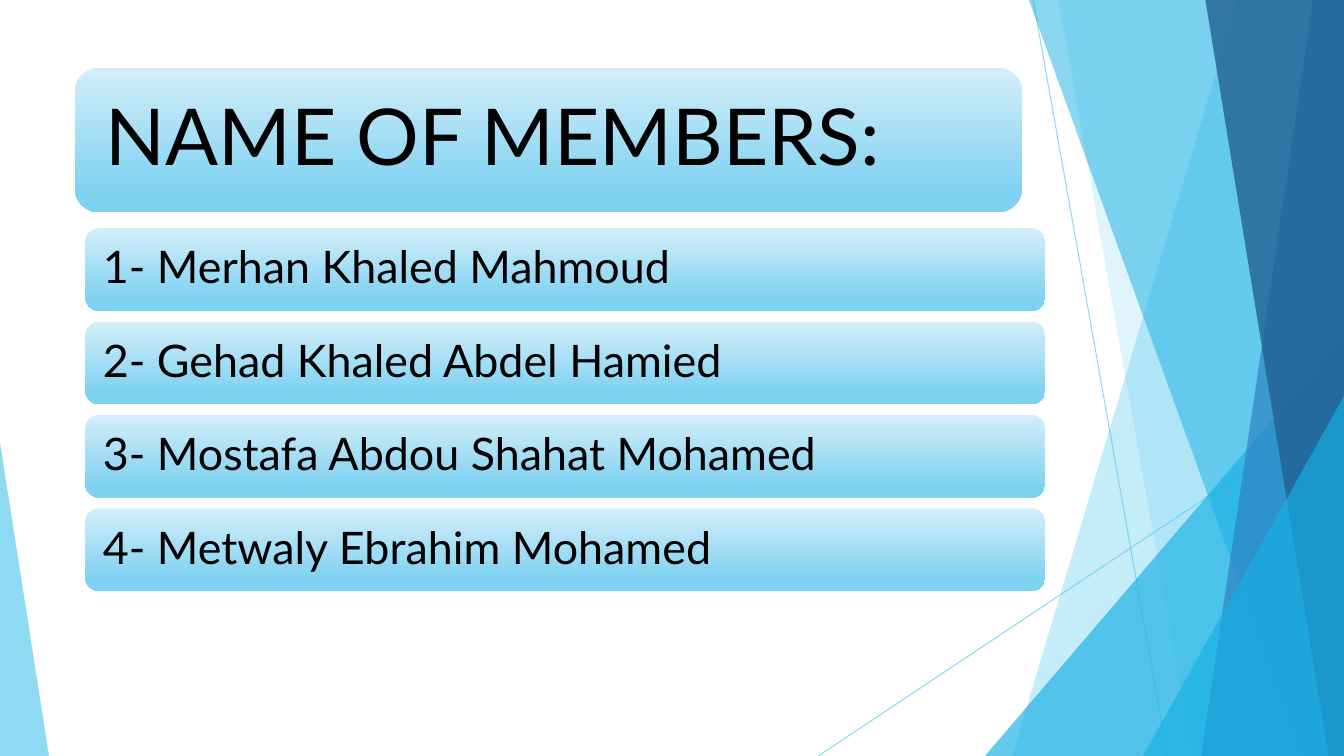
from lxml import etree
from pptx import Presentation
from pptx import util as u
from pptx.dml.color import RGBColor
from pptx.enum import shapes, text
from pptx.oxml.ns import qn

WIDTH, HEIGHT = 960, 540
SKY, CYAN, BLUE, NAVY = "5FCBEF", "17B0E4", "2E83C3", "226292"


def paint(fill, color, opacity):
    """Fill with a solid colour at an opacity in percent."""
    fill.solid()
    fill.fore_color.rgb = RGBColor.from_string(color)
    rgb = fill._xPr.find(".//" + qn("a:srgbClr"))
    etree.SubElement(rgb, qn("a:alpha"), val=str(opacity * 1000))


def add_panel(page, left, top, width, height, inset, size, wording):
    """Add a rounded gradient panel with one line of text."""
    panel = page.shapes.add_shape(shapes.MSO_SHAPE.ROUNDED_RECTANGLE,
                                  u.Pt(left), u.Pt(top), u.Pt(width), u.Pt(height))
    panel.shadow.inherit = False
    panel.line.fill.background()
    panel.fill.gradient()
    panel.fill.gradient_angle = 270
    stops = zip(panel.fill.gradient_stops, [(0, "D4EEF9"), (0.88, "7DD1F1")])
    for stop, (position, color) in stops:
        stop.position = position
        stop.color.rgb = RGBColor.from_string(color)
    frame = panel.text_frame
    frame.word_wrap = True
    frame.vertical_anchor = text.MSO_ANCHOR.MIDDLE
    frame.margin_left = frame.margin_right = u.Pt(inset)
    frame.margin_top = frame.margin_bottom = u.Pt(inset)
    para = frame.paragraphs[0]
    para.alignment = text.PP_ALIGN.LEFT
    para.line_spacing = 0.9
    span = para.add_run()
    span.text = wording
    span.font.name = "Lato"
    span.font.size = u.Pt(size)
    span.font.color.rgb = RGBColor.from_string("000000")


deck = Presentation()
deck.slide_width, deck.slide_height = u.Pt(WIDTH), u.Pt(HEIGHT)
page = deck.slides.add_slide(deck.slide_layouts[6])

# Thin crossing lines
for ends in [(738, 0, 834, HEIGHT), (WIDTH, 290, 584.5, HEIGHT)]:
    line = page.shapes.add_connector(shapes.MSO_CONNECTOR.STRAIGHT, *map(u.Pt, ends))
    line.line.width = u.Pt(0.75)
    paint(line.line.fill, SKY, 70)
    etree.SubElement(line._element.spPr, qn("a:effectLst"))

# Bands run to the right edge: (top x, bottom x)
# Triangles: (left, top, width, height, apex position)
facets = [
    ((884, 723), SKY, 36),
    ((756, 852), SKY, 20),
    ((703.5, 240, 256.5, 300, 1), CYAN, 66),
    ((735, 929.5), CYAN, 50),
    ((938, 858), BLUE, 70),
    ((861, 949), NAVY, 80),
    ((816.5, 283, 143.5, 257, 1), CYAN, 66),
    ((0, 316, 35, 224, 0), SKY, 70),
]
for geometry, color, opacity in facets:
    if len(geometry) == 2:
        top_x, bottom_x = geometry
        outline = page.shapes.build_freeform(top_x, 0, scale=u.Pt(1))
        outline.add_line_segments([(WIDTH, 0), (WIDTH, HEIGHT), (bottom_x, HEIGHT)])
        facet = outline.convert_to_shape()
    else:
        *bounds, apex = geometry
        facet = page.shapes.add_shape(shapes.MSO_SHAPE.ISOSCELES_TRIANGLE,
                                      *map(u.Pt, bounds))
        facet.adjustments[0] = apex
    facet.shadow.inherit = False
    facet.line.fill.background()
    paint(facet.fill, color, opacity)

add_panel(page, 53.5, 48.5, 676.5, 103, 16.8, 56, "NAME OF MEMBERS:")

members = [
    "Merhan Khaled Mahmoud",
    "Gehad Khaled Abdel Hamied",
    "Mostafa Abdou Shahat Mohamed",
    "Metwaly Ebrahim Mohamed",
]
for row, member in enumerate(members):
    add_panel(page, 61, 163 + 66.7 * row, 685.5, 59, 9.6, 32, f"{row + 1}- {member}")

deck.save("out.pptx")
